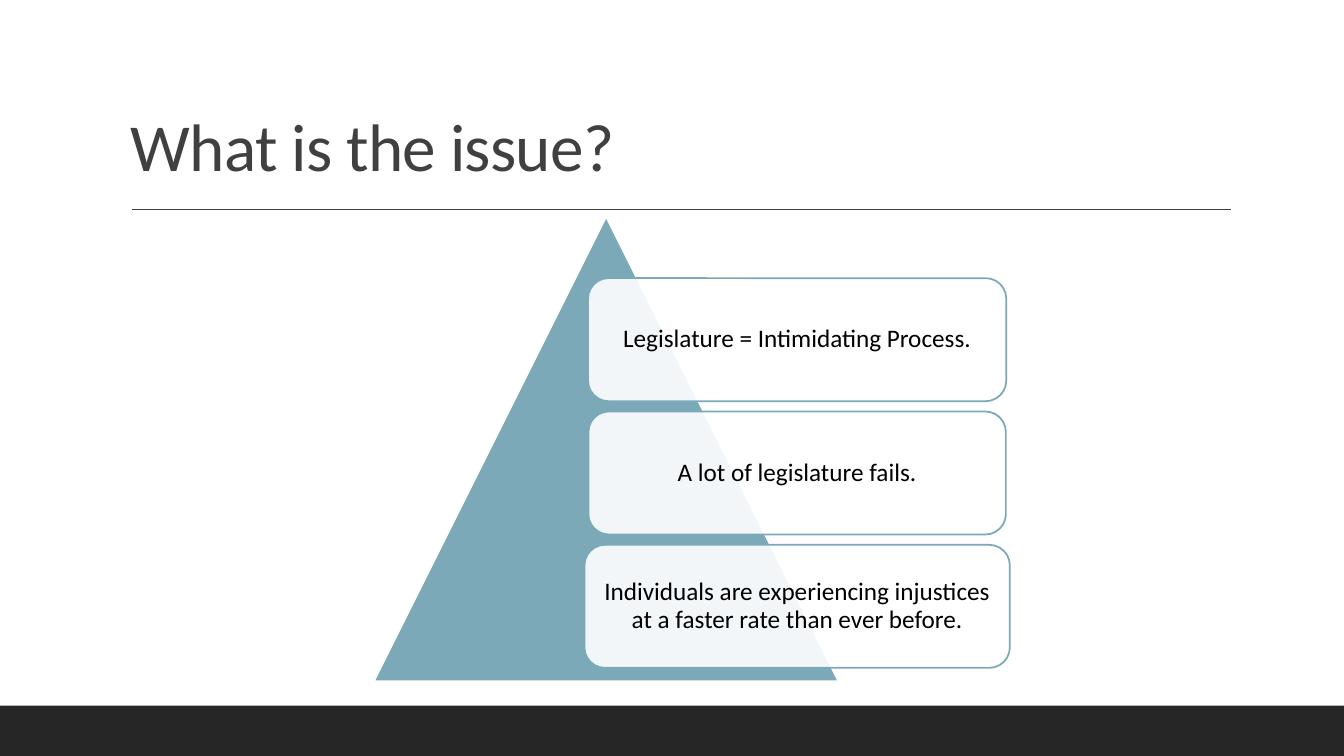
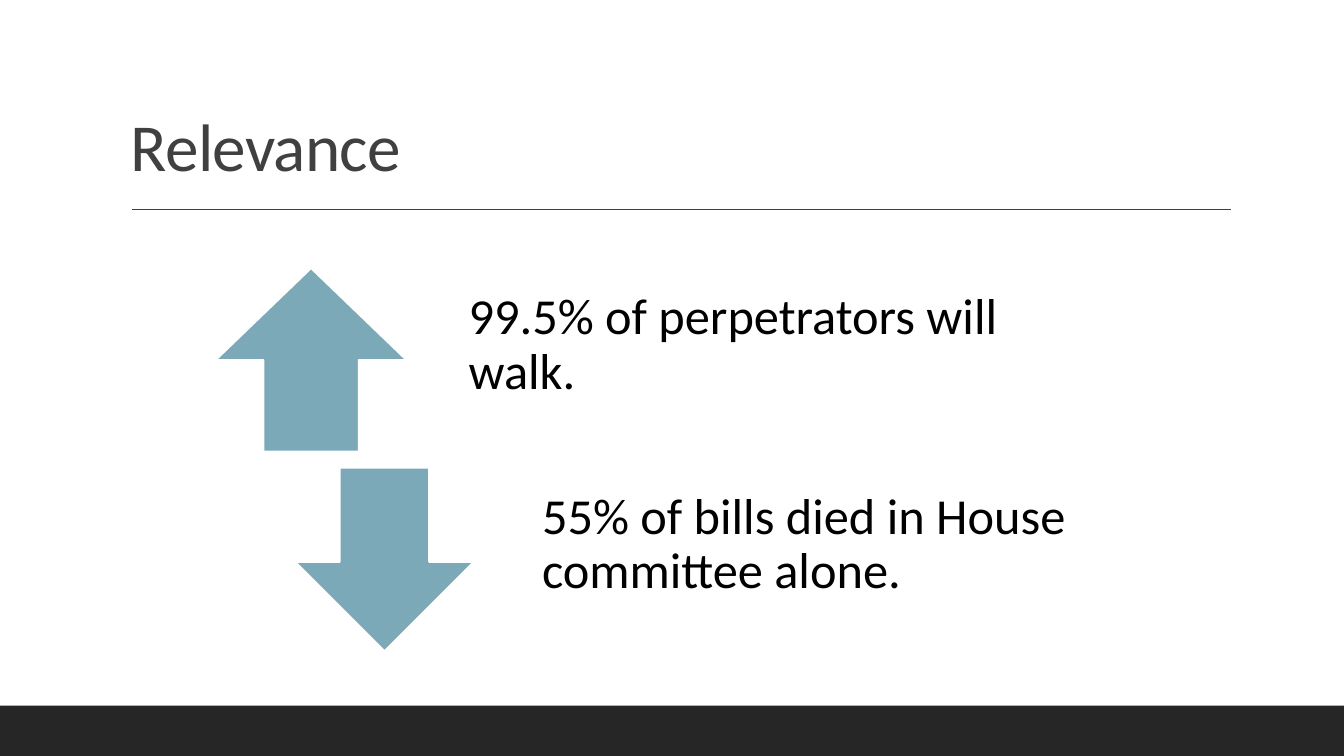
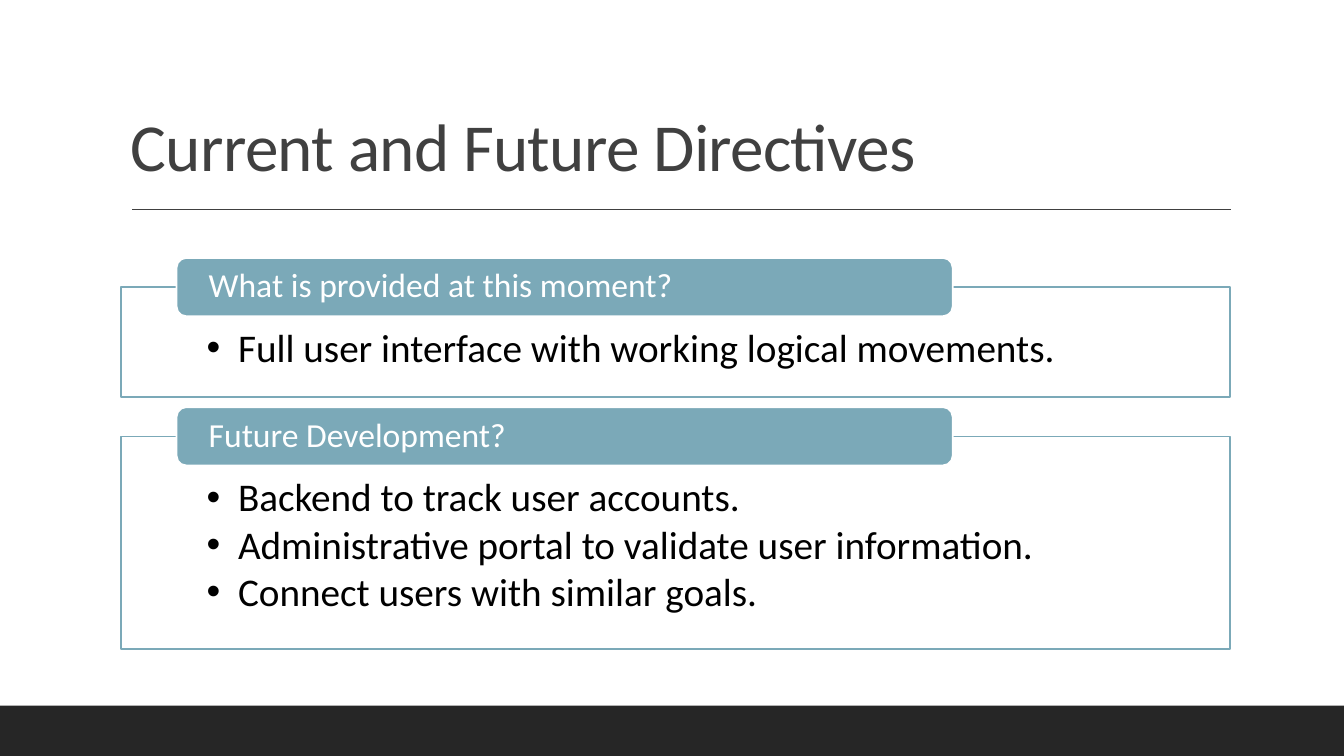
import pptx
import pptx.dml.color
import pptx.enum.shapes
import pptx.enum.text
import pptx.oxml.ns
import pptx.util
from lxml import etree

Cm = pptx.util.Cm
Pt = pptx.util.Pt
SHAPE = pptx.enum.shapes.MSO_SHAPE
ANCHOR = pptx.enum.text.MSO_ANCHOR
ALIGN = pptx.enum.text.PP_ALIGN

COLORS = {
    "accent": "7BA9B8",
    "white": "FFFFFF",
    "ink": "000000",
    "title": "404040",
    "band": "262626",
}
WIDTH, HEIGHT = 33.87, 19.05
LEFT, CONTENT_WIDTH = 3.05, 27.94


def rgb(name):
    """Return the named colour."""
    return pptx.dml.color.RGBColor.from_string(COLORS[name])


def apply_format(target, values):
    """Set each attribute in values on target."""
    for name, value in values.items():
        setattr(target, name, value)


def add_node(parent, tag, **attributes):
    """Append a drawing element with its attributes."""
    return etree.SubElement(parent, pptx.oxml.ns.qn(tag), **attributes)


class Deck:
    """Holds the shared style and the current slide."""

    font = "Calibri"
    outline = 1.25

    def __init__(self):
        """Start an empty widescreen presentation."""
        self.show = pptx.Presentation()
        apply_format(self.show, {"slide_width": Cm(WIDTH), "slide_height": Cm(HEIGHT)})
        self.slide = None

    def start(self, title):
        """Add a slide with the footer band, title rule and title."""
        self.slide = self.show.slides.add_slide(self.show.slide_layouts[6])
        self.shape(SHAPE.RECTANGLE, (0, 17.78, WIDTH, 1.27), "band")
        self.rule(3.33, 31.01, 5.28)
        heading = self.text_box((LEFT, 0.79, CONTENT_WIDTH, 4.04))
        self.put_text(heading, [title], 48, "title", anchor=ANCHOR.BOTTOM, spacing=-50)

    def shape(self, kind, place, fill, line=None, opacity=None):
        """Add a preset shape, with opacity in percent."""
        shape = self.slide.shapes.add_shape(kind, *map(Cm, place))
        shape.shadow.inherit = False
        shape.fill.solid()
        shape.fill.fore_color.rgb = rgb(fill)
        if opacity:
            color = shape._element.spPr.find(".//" + pptx.oxml.ns.qn("a:srgbClr"))
            add_node(color, "a:alpha", val=str(opacity * 1000))
        if line:
            shape.line.color.rgb = rgb(line)
            shape.line.width = Pt(self.outline)
        else:
            shape.line.fill.background()
        return shape

    def rule(self, start, end, top):
        """Add a thin horizontal line."""
        rule = self.slide.shapes.add_connector(
            pptx.enum.shapes.MSO_CONNECTOR.STRAIGHT,
            Cm(start), Cm(top), Cm(end), Cm(top))
        rule.line.color.rgb = rgb("title")
        rule.line.width = Pt(1)
        add_node(rule._element.spPr, "a:effectLst")

    def text_box(self, place):
        """Add an empty text box."""
        return self.slide.shapes.add_textbox(*map(Cm, place))

    def put_text(self, holder, lines, size, color, anchor=ANCHOR.MIDDLE,
                 align=ALIGN.LEFT, insets=(0.25, 0.13, 0.25, 0.13),
                 bullets=False, spacing=None):
        """Put paragraphs into a shape or text box."""
        frame = holder.text_frame
        sides = ("margin_left", "margin_top", "margin_right", "margin_bottom")
        apply_format(frame, {"word_wrap": True, "vertical_anchor": anchor,
                             **dict(zip(sides, map(Cm, insets)))})
        for index, line in enumerate(lines):
            paragraph = frame.add_paragraph() if index else frame.paragraphs[0]
            apply_format(paragraph, {"alignment": align, "line_spacing": 0.9})
            if bullets:
                paragraph.space_after = Pt(3.6)
                self.bullet(paragraph)
            run = paragraph.add_run()
            run.text = line
            apply_format(run.font, {"name": self.font, "size": Pt(size)})
            run.font.color.rgb = rgb(color)
            if spacing:
                run._r.get_or_add_rPr().set("spc", str(spacing))

    def bullet(self, paragraph):
        """Give a paragraph a hanging bullet."""
        properties = paragraph._p.get_or_add_pPr()
        indent = Cm(0.79)
        properties.set("marL", str(indent))
        properties.set("indent", str(-indent))
        add_node(properties, "a:buFont", typeface="Arial")
        add_node(properties, "a:buChar", char="•")

    def card(self, center, top, width, text):
        """Add a translucent rounded card with centred text."""
        card = self.shape(SHAPE.ROUNDED_RECTANGLE,
                          (center - width / 2, top, width, 3.1),
                          "white", "accent", opacity=90)
        self.put_text(card, [text], 18, "ink", align=ALIGN.CENTER, insets=(0.18,) * 4)

    def arrow_fact(self, kind, center, top, width, text):
        """Add a block arrow with its statement on the right."""
        height = 4.62
        self.shape(kind, (center - width / 2, top, width, height), "accent", "white")
        statement = self.text_box((center + 3.26, top, 15.65, height))
        self.put_text(statement, [text], 36, "ink", insets=(0.71, 0, 0.71, 0.71))

    def panel(self, top, height, heading, items):
        """Add an outlined bullet panel with a heading tab on its top edge."""
        panel = self.shape(SHAPE.RECTANGLE, (LEFT, top, CONTENT_WIDTH, height),
                           "white", "accent", opacity=90)
        self.put_text(panel, items, 28, "ink", anchor=ANCHOR.TOP,
                      insets=(2.16, 1.04, 2.16, 0.56), bullets=True)
        tab = self.shape(SHAPE.ROUNDED_RECTANGLE, (4.45, top - 0.74, 19.56, 1.47),
                         "accent", "white")
        self.put_text(tab, [heading], 24, "white", insets=(0.74, 0, 0.74, 0))


def issue_slide(deck):
    """Build the slide on the issue."""
    deck.start("What is the issue?")
    deck.shape(SHAPE.ISOSCELES_TRIANGLE, (9.42, 5.46, 11.71, 11.71), "accent", "white")
    issues = [
        (10.54, "Legislature = Intimidating Process."),
        (10.52, "A lot of legislature fails."),
        (10.72, "Individuals are experiencing injustices at a faster rate "
                "than ever before."),
    ]
    for row, (width, issue) in enumerate(issues):
        deck.card(20.09, 7.01 + 3.36 * row, width, issue)


def relevance_slide(deck):
    """Build the slide on relevance."""
    deck.start("Relevance")
    facts = [
        (SHAPE.UP_ARROW, 4.8, "99.5% of perpetrators will walk."),
        (SHAPE.DOWN_ARROW, 4.5, "55% of bills died in House committee alone."),
    ]
    for row, (arrow, width, fact) in enumerate(facts):
        deck.arrow_fact(arrow, 7.84 + 1.85 * row, 6.76 + 5.03 * row, width, fact)


def directives_slide(deck):
    """Build the slide on directives."""
    deck.start("Current and Future Directives")
    directives = [
        (2.77, "What is provided at this moment?",
         ["Full user interface with working logical movements."]),
        (5.36, "Future Development?",
         ["Backend to track user accounts.",
          "Administrative portal to validate user information.",
          "Connect users with similar goals."]),
    ]
    top = 7.24
    for height, heading, items in directives:
        deck.panel(top, height, heading, items)
        top += height + 0.99


deck = Deck()
for build in (issue_slide, relevance_slide, directives_slide):
    build(deck)
deck.show.save("out.pptx")
